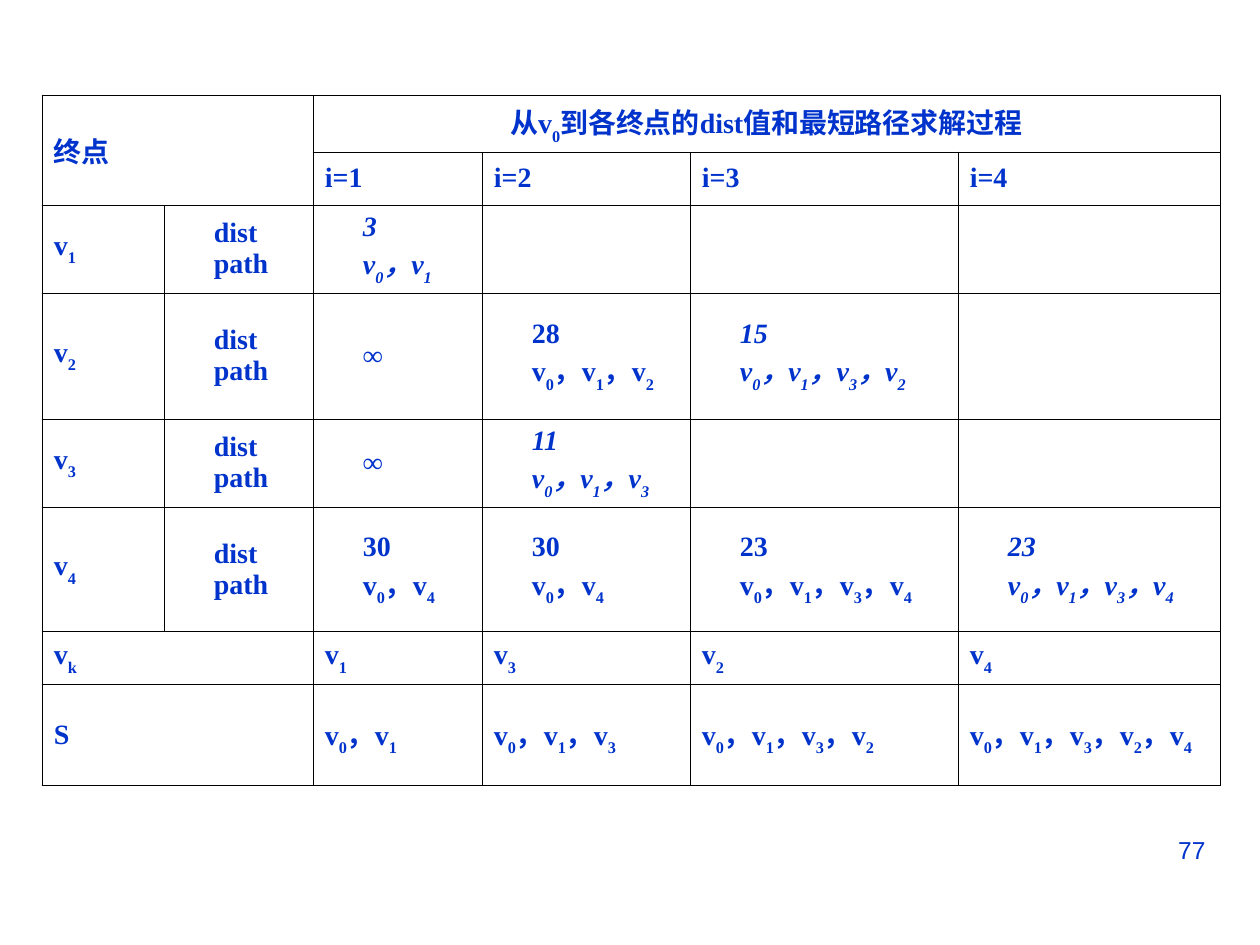
from lxml.etree import SubElement
from pptx import Presentation
from pptx.dml.color import RGBColor
from pptx.enum.text import MSO_ANCHOR, PP_ALIGN
from pptx.oxml import parse_xml
from pptx.oxml.ns import nsdecls, qn
from pptx.util import Pt

EMU_PER_PX = 914400 / 126
BLUE = RGBColor(0x00, 0x33, 0xCC)
BLACK = RGBColor(0x00, 0x00, 0x00)
COLUMN_WIDTHS = [122, 149, 169, 208, 268, 262]
ROW_HEIGHTS = [57, 53, 88, 126, 88, 125, 53, 101]
HANGING, SLIGHT = 48, 10  # first-line outdents
SETTLED = "1324"  # vertex chosen in each step

# One (dist, path) entry per step, from i=1 on
STEPS = {
    "1": [("3", "01")],
    "2": [("∞", ""), ("28", "012"), ("15", "0132")],
    "3": [("∞", ""), ("11", "013")],
    "4": [("30", "04"), ("30", "04"), ("23", "0134"), ("23", "0134")],
}


def px(length):
    return round(length * EMU_PER_PX)


def vertices(indices):
    return "，".join(f"v_{index}" for index in indices)


def add_run(paragraph, text, size, font_name, bold=False, italic=False):
    run = paragraph.add_run()
    run.text = text
    font = run.font
    font.size, font.name = Pt(size), font_name
    font.bold, font.italic = bold, italic
    font.color.rgb = BLUE
    return run


def add_marked_text(paragraph, text, italic):
    """Add runs; the character after each underscore becomes a subscript."""
    first, *rest = text.split("_")
    pieces = [(first, False)]
    for part in rest:
        pieces += [(part[0], True), (part[1:], False)]
    for piece, subscript in pieces:
        if piece:
            run = add_run(paragraph, piece, 16, "Times New Roman", True, italic)
            if subscript:
                run.font._element.set("baseline", "-30000")


def fill_cell(cell, lines, outdent=HANGING, italic=False, align=PP_ALIGN.LEFT):
    frame = cell.text_frame
    for number, line in enumerate(lines):
        paragraph = frame.add_paragraph() if number else frame.paragraphs[0]
        paragraph.alignment = align
        properties = paragraph._p.get_or_add_pPr()
        properties.set("marL", str(px(48)))
        properties.set("indent", str(-px(outdent)))
        add_marked_text(paragraph, line, italic)


def style_cell(cell):
    cell.vertical_anchor = MSO_ANCHOR.MIDDLE
    cell.margin_left = cell.margin_right = px(12)
    cell.margin_top = cell.margin_bottom = px(6)
    cell.fill.background()
    properties = cell._tc.get_or_add_tcPr()
    for position, side in enumerate("LRTB"):
        properties.insert(position, parse_xml(
            f'<a:ln{side} {nsdecls("a")} w="{Pt(0.45)}"><a:solidFill>'
            f'<a:srgbClr val="{BLACK}"/></a:solidFill></a:ln{side}>'))


def add_grid(slide):
    shape = slide.shapes.add_table(
        len(ROW_HEIGHTS), len(COLUMN_WIDTHS), px(42), px(95),
        px(sum(COLUMN_WIDTHS)), px(sum(ROW_HEIGHTS)))
    table = shape.table
    table.first_row = table.horz_banding = False
    for column, width in zip(table.columns, COLUMN_WIDTHS):
        column.width = px(width)
    for row, height in zip(table.rows, ROW_HEIGHTS):
        row.height = px(height)
    for cell in table.iter_cells():
        style_cell(cell)
    return table


def fill_headers(table):
    table.cell(0, 0).merge(table.cell(1, 1))
    table.cell(0, 2).merge(table.cell(0, 5))
    fill_cell(table.cell(0, 0), ["终点"])
    fill_cell(table.cell(0, 2), ["从v_0到各终点的dist值和最短路径求解过程"],
              align=PP_ALIGN.CENTER)
    for step in range(1, 5):
        fill_cell(table.cell(1, step + 1), [f"i={step}"])


def fill_steps(table):
    for row, (vertex, entries) in enumerate(STEPS.items(), start=2):
        fill_cell(table.cell(row, 0), [vertices(vertex)])
        fill_cell(table.cell(row, 1), ["dist", "path"], SLIGHT)
        for step, (distance, route) in enumerate(entries):
            lines = [distance, vertices(route)] if route else [distance]
            fill_cell(table.cell(row, step + 2), lines, SLIGHT,
                      italic=SETTLED[step] == vertex)


def fill_summary(table):
    for row, label in ((6, "v_k"), (7, "S")):
        table.cell(row, 0).merge(table.cell(row, 1))
        fill_cell(table.cell(row, 0), [label])
    for step, vertex in enumerate(SETTLED):
        fill_cell(table.cell(6, step + 2), [vertices(vertex)])
        fill_cell(table.cell(7, step + 2),
                  [vertices("0" + SETTLED[:step + 1])])


def add_page_number(slide, number):
    box = slide.shapes.add_textbox(px(903), px(829), px(315), px(66))
    box.text_frame.word_wrap = True
    paragraph = box.text_frame.paragraphs[0]
    paragraph.alignment = PP_ALIGN.RIGHT
    add_run(paragraph, number, 14, "Arial")


def main():
    presentation = Presentation()
    presentation.slide_width, presentation.slide_height = px(1260), px(945)
    slide = presentation.slides.add_slide(presentation.slide_layouts[6])
    add_page_number(slide, "77")
    table = add_grid(slide)
    fill_headers(table)
    fill_steps(table)
    fill_summary(table)
    presentation.save("out.pptx")


if __name__ == "__main__":
    main()
